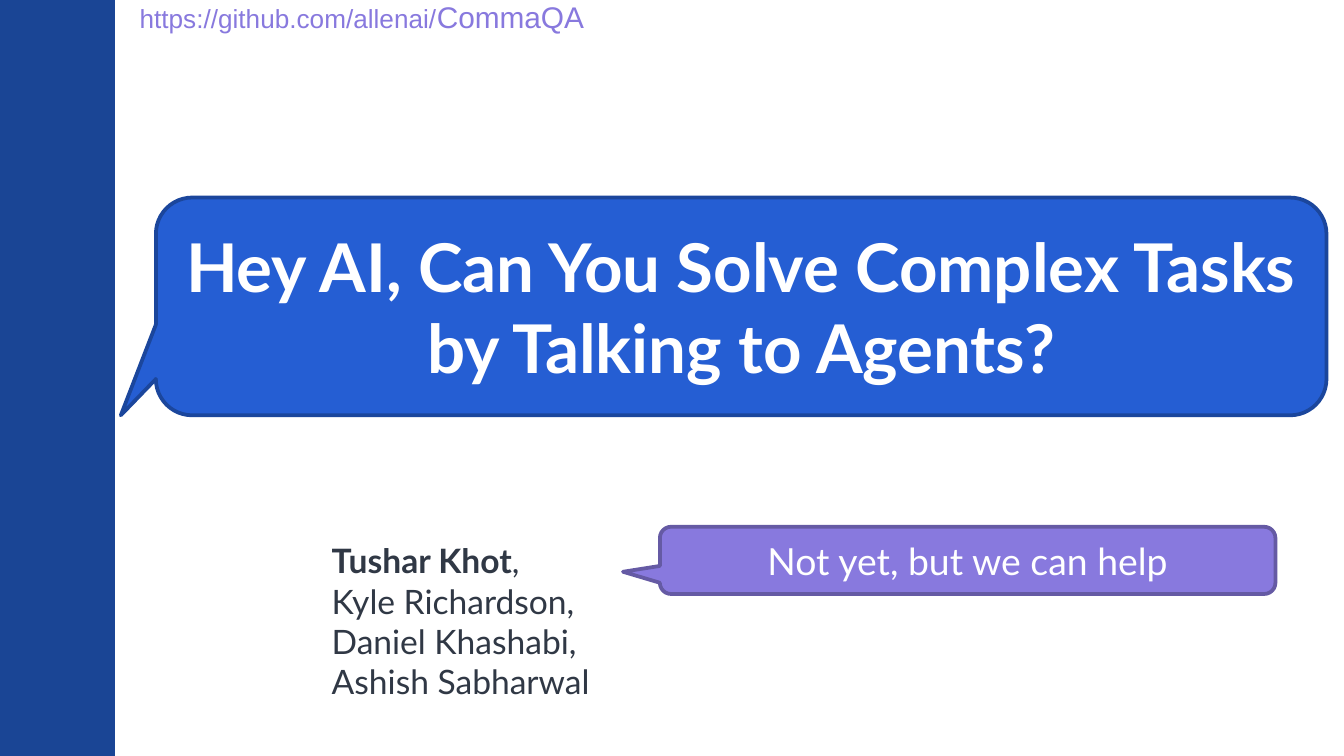
from dataclasses import dataclass

from pptx import Presentation
from pptx.dml.color import RGBColor
from pptx.enum.shapes import MSO_SHAPE
from pptx.enum.text import MSO_ANCHOR, PP_ALIGN
from pptx.util import Inches, Pt

SLIDE_WIDTH = 10
SLIDE_HEIGHT = SLIDE_WIDTH * 9 / 16
PURPLE = "8879DE"
WHITE = "FFFFFF"
AUTHOR_FORMAT = {"name": "Lato", "size": Pt(18), "color": "303845", "bold": False}
LINK_FORMAT = {"name": "Arial", "size": Pt(14), "color": PURPLE}


@dataclass
class Box:
    left: float
    top: float
    width: float
    height: float

    def inches(self) -> list:
        return [Inches(v) for v in (self.left, self.top, self.width, self.height)]


@dataclass
class Callout:
    box: Box
    pointer: tuple[float, float]
    fill: str
    outline: str
    words: str
    font_format: dict


def color(hex_value: str) -> RGBColor:
    return RGBColor.from_string(hex_value)


def add_run(paragraph, words: str, font_format: dict) -> None:
    run = paragraph.add_run()
    run.text = words
    for attribute, value in font_format.items():
        if attribute == "color":
            run.font.color.rgb = color(value)
        else:
            setattr(run.font, attribute, value)


def add_filled_shape(slide, kind, box: Box, fill: str, outline: str, weight: float):
    shape = slide.shapes.add_shape(kind, *box.inches())
    shape.shadow.inherit = False
    shape.fill.solid()
    shape.fill.fore_color.rgb = color(fill)
    shape.line.color.rgb = color(outline)
    shape.line.width = Pt(weight)
    return shape


def add_callout(slide, callout: Callout) -> None:
    bubble = add_filled_shape(slide, MSO_SHAPE.ROUNDED_RECTANGULAR_CALLOUT,
                              callout.box, callout.fill, callout.outline, 2)
    bubble.adjustments[0], bubble.adjustments[1] = callout.pointer
    frame = bubble.text_frame
    frame.word_wrap = True
    frame.vertical_anchor = MSO_ANCHOR.MIDDLE
    frame.paragraphs[0].alignment = PP_ALIGN.CENTER
    add_run(frame.paragraphs[0], callout.words, callout.font_format)


def add_text(slide, box: Box, lines: list, inset: float = 0.05) -> None:
    """Each line is a list of (words, font format) pairs."""
    frame = slide.shapes.add_textbox(*box.inches()).text_frame
    frame.word_wrap = True
    frame.margin_top = frame.margin_bottom = Inches(inset)
    for index, line in enumerate(lines):
        paragraph = frame.add_paragraph() if index else frame.paragraphs[0]
        for words, font_format in line:
            add_run(paragraph, words, font_format)


CALLOUTS = [
    Callout(Box(1.16, 1.47, 8.71, 1.62), (-0.53, 0.5), "255ED3", "1B469C",
            "Hey AI, Can You Solve Complex Tasks by Talking to Agents?",
            {"name": "Lato", "size": Pt(36), "color": WHITE, "bold": True}),
    Callout(Box(4.91, 3.92, 4.58, 0.5), (-0.56, 0.17), PURPLE, "655AA4",
            "Not yet, but we can help",
            {"name": "Lato", "size": Pt(20), "color": WHITE}),
]


def main() -> None:
    deck = Presentation()
    deck.slide_width = Inches(SLIDE_WIDTH)
    deck.slide_height = Inches(SLIDE_HEIGHT)
    slide = deck.slides.add_slide(deck.slide_layouts[6])

    # Side band
    add_filled_shape(slide, MSO_SHAPE.RECTANGLE, Box(0, 0, 0.85, SLIDE_HEIGHT),
                     "1A4595", "1A4595", 1)

    # Authors, the speaker in bold
    speaker = [("Tushar Khot", AUTHOR_FORMAT | {"bold": True}), (",", AUTHOR_FORMAT)]
    coauthors = ["Kyle Richardson,", "Daniel Khashabi,", "Ashish Sabharwal"]
    add_text(slide, Box(2.37, 3.92, 2.37, 1.34),
             [speaker] + [[(name, AUTHOR_FORMAT)] for name in coauthors], inset=0.1)

    # Title question and its answer
    for callout in CALLOUTS:
        add_callout(slide, callout)

    # Code link
    add_text(slide, Box(0.94, -0.06, 4.15, 0.37),
             [[("https://github.com/allenai/", LINK_FORMAT),
               ("CommaQA", LINK_FORMAT | {"size": Pt(16)})]])

    deck.save("out.pptx")


if __name__ == "__main__":
    main()
